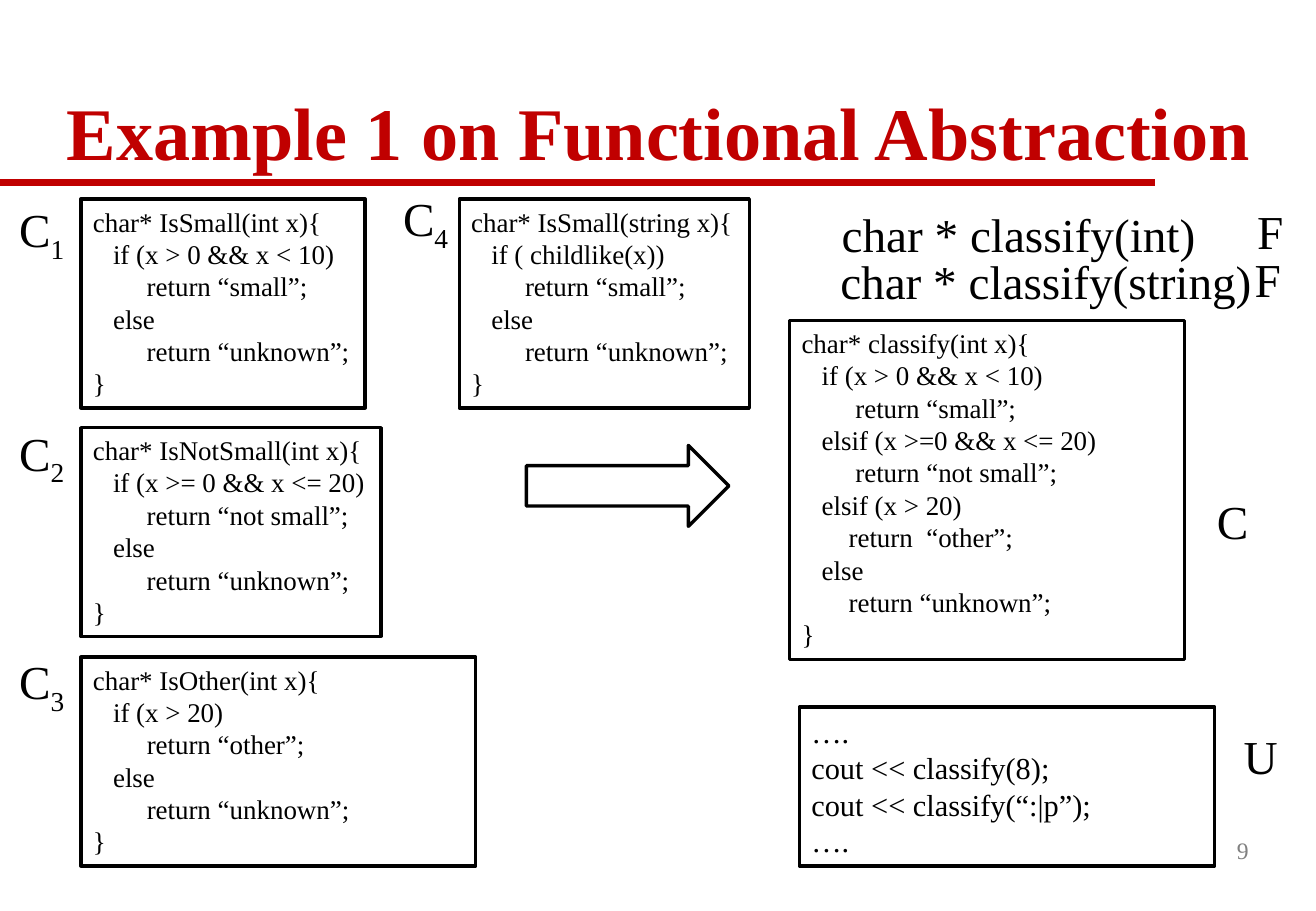
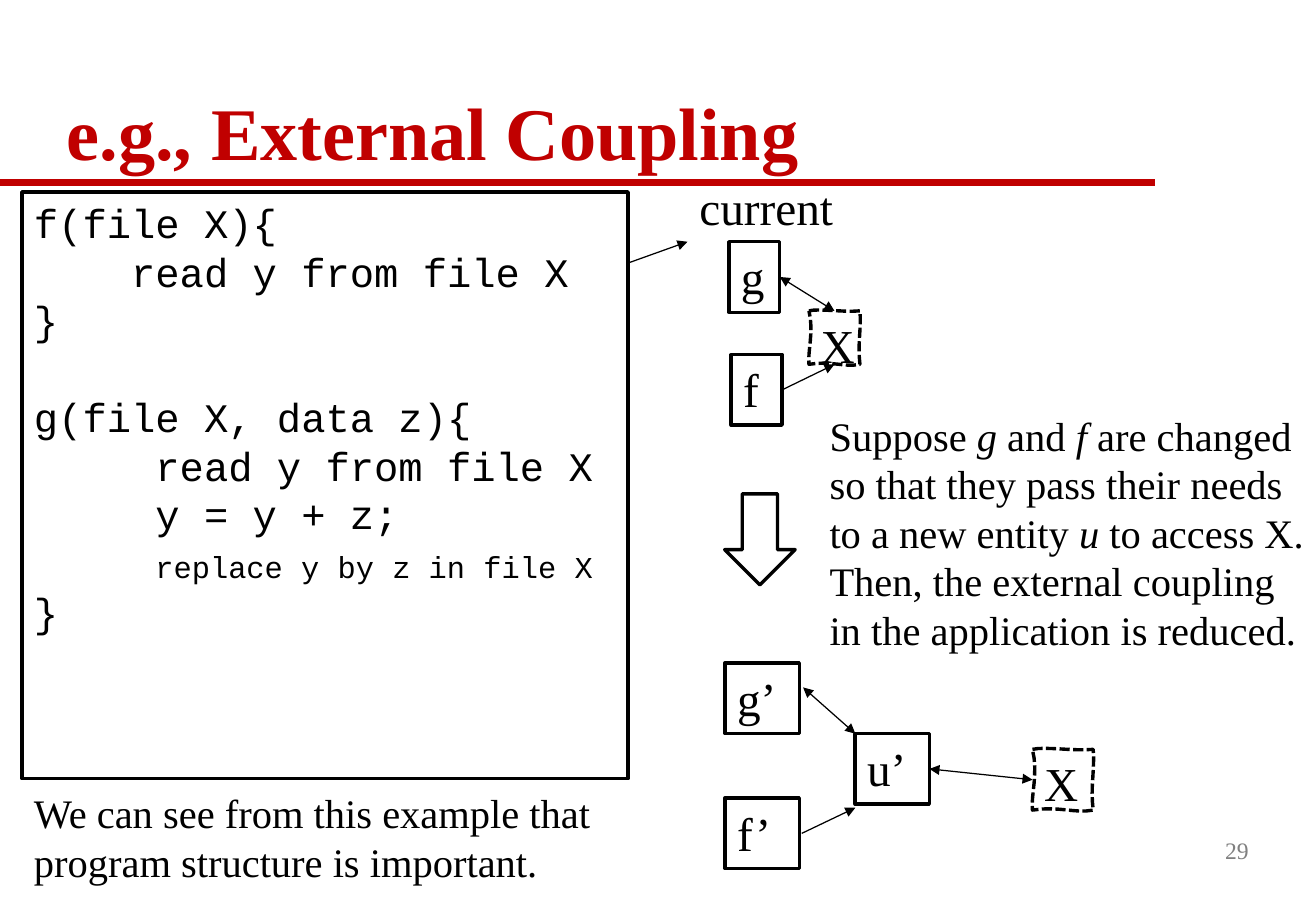
from lxml.etree import SubElement
from pptx import Presentation
from pptx.dml.color import RGBColor
from pptx.enum.dml import MSO_LINE
from pptx.enum.shapes import MSO_CONNECTOR, MSO_SHAPE
from pptx.enum.text import MSO_ANCHOR, MSO_AUTO_SIZE, PP_ALIGN
from pptx.oxml.ns import qn
from pptx.util import Pt

COLORS = {"accent": "C00000", "ink": "000000", "paper": "FFFFFF", "muted": "808080"}
SERIF, MONO = "Times New Roman", "Courier New"
RIGHT_SIDE = 3

# Text formats
TITLE = {"name": SERIF, "size": Pt(44), "bold": True}
LABEL = {"name": SERIF, "size": Pt(28)}
PROSE = {"name": SERIF, "size": Pt(24)}
CODE = {"name": SERIF, "size": Pt(16)}
USAGE = {"name": SERIF, "size": Pt(18)}
LISTING = {"name": MONO, "size": Pt(24)}
NUMBER = {"name": SERIF, "size": Pt(14)}
ITALIC = {"italic": True}

# Hand-drawn outline: corner, then two curve controls, as fractions of the size
SKETCH_SIDES = [
    ((0, 0), (0.21, -0.05), (0.64, 0.03)),
    ((1, 0), (1.03, 0.34), (0.95, 0.6)),
    ((1, 1), (0.69, 1.06), (0.45, 0.93)),
    ((0, 1), (-0.03, 0.77), (0.1, 0.39)),
]


def rgb(name):
    return RGBColor.from_string(COLORS[name])


def format_font(font, values, color="ink"):
    for name, value in values.items():
        setattr(font, name, value)
    font.color.rgb = rgb(color)


def write(shape, lines, values, color="ink", align=PP_ALIGN.LEFT, wrap=True,
          anchor=MSO_ANCHOR.TOP):
    """Write lines; a line is a string or a list of (text, extra format) runs."""
    frame = shape.text_frame
    frame.word_wrap = wrap
    frame.auto_size = MSO_AUTO_SIZE.NONE
    frame.vertical_anchor = anchor
    for index, line in enumerate(lines):
        paragraph = frame.paragraphs[0] if index == 0 else frame.add_paragraph()
        paragraph.alignment = align
        for text, extra in [(line, {})] if isinstance(line, str) else line:
            run = paragraph.add_run()
            run.text = text
            format_font(run.font, {**values, **extra}, color)


def add_text(slide, box, lines, values, **options):
    shape = slide.shapes.add_textbox(*map(Pt, box))
    write(shape, lines, values, **options)
    return shape


def add_label(slide, left, top, width, text, subscript=""):
    shape = add_text(slide, (left, top, width, 41), [[(text, {})]], LABEL, wrap=False)
    if subscript:
        run = shape.text_frame.paragraphs[0].add_run()
        run.text = subscript
        format_font(run.font, LABEL)
        run.font._element.set("baseline", "-25000")


def outline(shape):
    shape.shadow.inherit = False
    shape.fill.solid()
    shape.fill.fore_color.rgb = rgb("paper")
    shape.line.color.rgb = rgb("ink")
    shape.line.width = Pt(2)


def add_shape(slide, kind, box):
    shape = slide.shapes.add_shape(kind, *map(Pt, box))
    outline(shape)
    return shape


def add_box(slide, box, lines, values, wrap=True):
    shape = add_shape(slide, MSO_SHAPE.RECTANGLE, box)
    write(shape, lines, values, wrap=wrap)
    return shape


def add_sketch(slide, left, top, width, height, text):
    """Draw a dashed box whose sides are cubic curves."""
    points = []
    for index, (start, first, second) in enumerate(SKETCH_SIDES):
        end = SKETCH_SIDES[(index + 1) % len(SKETCH_SIDES)][0]
        for step in range(8):
            t = step / 8
            x, y = ((1 - t) ** 3 * a + 3 * t * (1 - t) ** 2 * b
                    + 3 * t ** 2 * (1 - t) * c + t ** 3 * d
                    for a, b, c, d in zip(start, first, second, end))
            points.append((Pt(left + x * width), Pt(top + y * height)))
    builder = slide.shapes.build_freeform(*points[0], scale=1.0)
    builder.add_line_segments(points[1:], close=True)
    shape = builder.convert_to_shape()
    outline(shape)
    shape.line.dash_style = MSO_LINE.SQUARE_DOT
    write(shape, [text], LABEL)


def add_line(slide, start, end, color="ink", width=0.75, heads=(), source=None):
    """Draw a line; heads names its arrow ends, source is joined at its right side."""
    line = slide.shapes.add_connector(MSO_CONNECTOR.STRAIGHT, *map(Pt, (*start, *end)))
    line.line.color.rgb = rgb(color)
    line.line.width = Pt(width)
    for head in heads:
        SubElement(line.line._get_or_add_ln(), qn(f"a:{head}"), type="triangle")
    SubElement(line.element.spPr, qn("a:effectLst"))
    if source is not None:
        line.begin_connect(source, RIGHT_SIDE)
    return line


def add_slide(presentation, title, title_width, number):
    slide = presentation.slides.add_slide(presentation.slide_layouts[5])
    shape = slide.shapes.title
    shape.left, shape.top, shape.width, shape.height = map(Pt, (32.4, 21, title_width, 87))
    write(shape, [title], TITLE, color="accent", anchor=MSO_ANCHOR.BOTTOM)
    shape.text_frame.paragraphs[0].line_spacing = 0.9
    add_text(slide, (584.6, 486, 162.7, 36), [number], NUMBER, color="muted",
             align=PP_ALIGN.RIGHT, wrap=False, anchor=MSO_ANCHOR.MIDDLE)
    return slide


def add_layout_rule(presentation, slide):
    """Move the red rule to the layout, so that every slide shows it."""
    rule = add_line(slide, (0, 108), (684.7, 108), "accent", 4)
    presentation.slide_layouts[5].shapes.element.append(rule.element)


def classifier(signature, condition, result):
    return [f"char* {signature}{{", f"   if ({condition})",
            f"        return “{result}”;", "   else",
            "        return “unknown”;", "}"]


def build_abstraction(slide):
    # Separate functions
    functions = [
        (48, 118, 168.5, classifier("IsSmall(int x)", "x > 0 && x < 10", "small")),
        (48, 253.5, 177.8,
         classifier("IsNotSmall(int x)", "x >= 0 && x <= 20", "not small")),
        (48, 389.5, 234, classifier("IsOther(int x)", "x > 20", "other")),
        (272.2, 118, 172, classifier("IsSmall(string x)", " childlike(x)", "small")),
    ]
    for left, top, width, lines in functions:
        add_box(slide, (left, top, width, 123.8), lines, CODE, wrap=False)
    label_places = [(4.3, 115.2), (4.3, 247.7), (4.3, 383), (231.8, 108.7)]
    for index, (left, top) in enumerate(label_places, 1):
        add_label(slide, left, top, 42.5, "C", str(index))

    # Combined function and its use
    add_shape(slide, MSO_SHAPE.RIGHT_ARROW, (312, 264, 120, 48))
    add_box(slide, (468, 190, 234, 201), [
        "char* classify(int x){",
        "   if (x > 0 && x < 10)",
        "        return “small”;",
        "   elsif (x >=0 && x <= 20)",
        "        return “not small”;",
        "   elsif (x > 20)",
        "       return  “other”;",
        "   else",
        "       return “unknown”;",
        "}",
    ], CODE)
    add_box(slide, (473.8, 419, 246.2, 94.3),
            ["….", "cout << classify(8);", "cout << classify(“:|p”);", "…."], USAGE)

    # Interface and part labels
    for left, top, width, text in [
        (491.8, 118, 226, "char * classify(int)"),
        (491, 146.2, 260.6, "char * classify(string)"),
        (738, 116.6, 30.2, "F"),
        (736.6, 144.7, 30.2, "F"),
        (714.2, 288, 33, "C"),
        (730, 427.7, 35.3, "U"),
    ]:
        add_label(slide, left, top, width, text)


def build_coupling(slide):
    # Code listing
    listing = add_box(slide, (13, 113.8, 359.3, 347.8), [
        "f(file X){",
        "    read y from file X",
        "}",
        "g(file X, data z){",
        "     read y from file X",
        "     y = y + z;",
        [("     ", {}), ("replace y by z in file X", {"size": Pt(18)})],
        "}",
    ], LISTING)
    listing.text_frame.paragraphs[3].space_before = Pt(28.8)

    # Current structure
    add_label(slide, 407.5, 102.2, 94.3, "current")
    f_box = add_box(slide, (433.4, 210.2, 30.2, 41.8), ["f"], LABEL)
    g_box = add_box(slide, (432, 143.3, 30.2, 41.8), ["g"], LABEL)
    add_sketch(slide, 479.5, 184.3, 30.2, 31.7, "X")

    # Changed structure
    add_shape(slide, MSO_SHAPE.DOWN_ARROW, (429.5, 292.7, 41.8, 54))
    new_boxes = [add_box(slide, (left, top, 44, 41.8), [text], LABEL)
                 for left, top, text in [(429.8, 393, "g’"), (429.8, 473, "f’"),
                                         (506.9, 434.9, "u’")]]
    add_sketch(slide, 612, 444.2, 36, 36, "X")

    # Arrows
    both, end_only = ("headEnd", "tailEnd"), ("tailEnd",)
    for start, end, heads, source in [
        ((462.2, 164.2), (494.6, 184.3), both, g_box),
        ((463.6, 231.1), (494.6, 216), end_only, f_box),
        ((475.2, 494), (507, 478.8), end_only, None),
        ((476, 407.5), (507, 434.9), both, None),
        ((550.9, 455.8), (612, 462.2), both, new_boxes[2]),
        ((371.5, 156.2), (407.5, 143.3), end_only, None),
    ]:
        add_line(slide, start, end, heads=heads, source=source)

    # Remarks
    add_text(slide, (484.6, 239.8, 296, 152.6), [[
        ("Suppose ", {}), ("g", ITALIC), (" and ", {}), ("f ", ITALIC),
        ("are changed so that they pass their needs to a new entity ", {}),
        ("u", ITALIC),
        (" to access X. Then, the external coupling in the application is reduced.", {}),
    ]], PROSE)
    add_text(slide, (13, 463.7, 413, 65.5),
             ["We can see from this example that program structure is important."], PROSE)


def main():
    presentation = Presentation()
    presentation.slide_width, presentation.slide_height = Pt(780), Pt(540)
    abstraction = add_slide(presentation, "Example 1 on Functional Abstraction", 741.6, "9")
    add_layout_rule(presentation, abstraction)
    build_abstraction(abstraction)
    build_coupling(add_slide(presentation, "e.g., External Coupling", 711.4, "29"))
    presentation.save("out.pptx")


if __name__ == "__main__":
    main()
